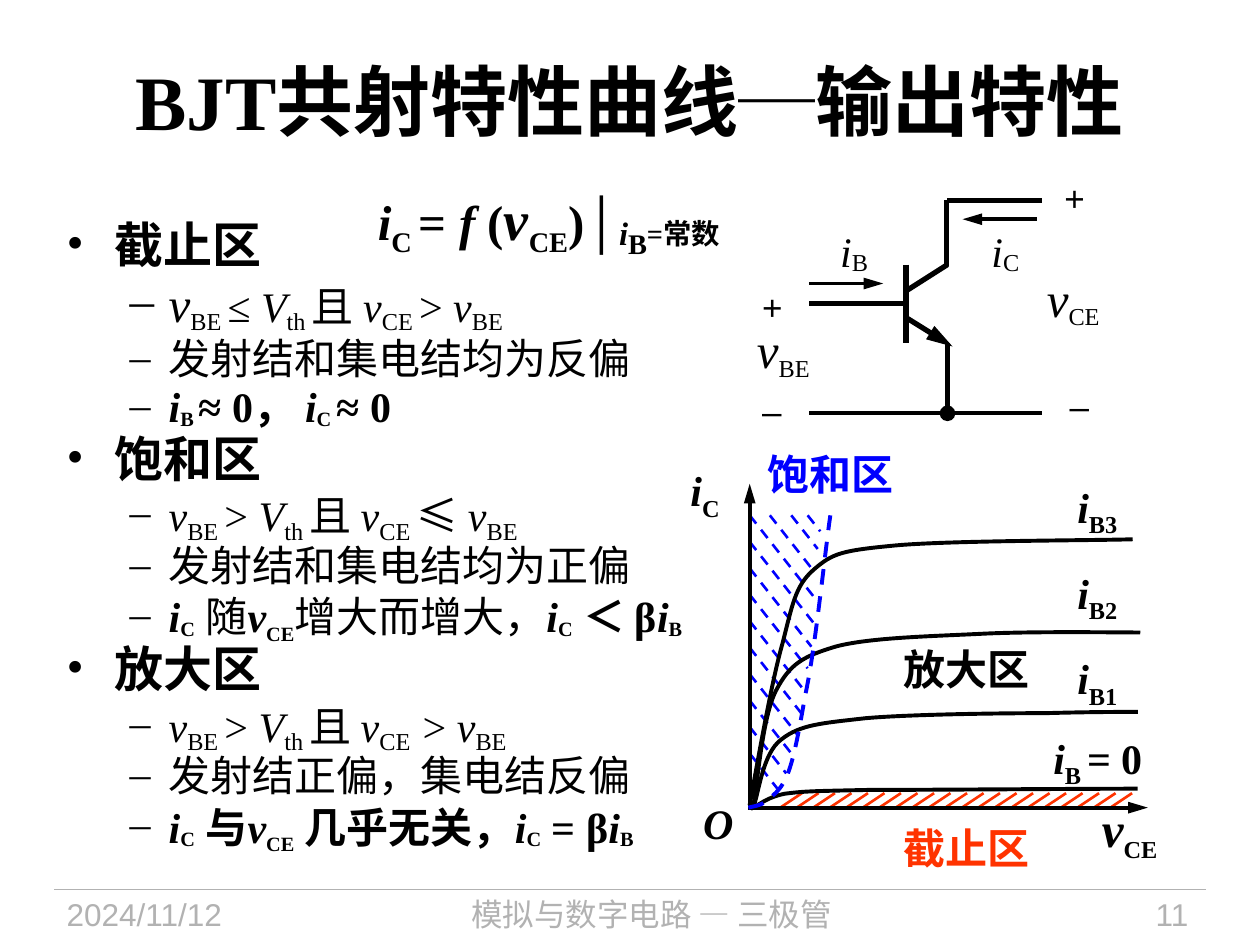
from lxml.etree import SubElement
from pptx import Presentation
from pptx.dml.color import RGBColor
from pptx.enum.dml import MSO_LINE
from pptx.enum.shapes import MSO_CONNECTOR
from pptx.enum.text import MSO_ANCHOR, PP_ALIGN
from pptx.oxml.ns import qn
from pptx.util import Inches, Pt

deck = Presentation()
deck.slide_width, deck.slide_height = Inches(10), Inches(7.5)
slide = deck.slides.add_slide(deck.slide_layouts[6])
shapes = slide.shapes
cell = deck.slide_width / 100

BLACK, BLUE, RED, GRAY = "000000", "0000FF", "FF3300", "B2B2B2"
ROMAN, ARIAL, HAN = "Times New Roman", "Arial", "Noto Sans CJK SC"
LEFT, MID, RIGHT = PP_ALIGN.LEFT, PP_ALIGN.CENTER, PP_ALIGN.RIGHT
paint = RGBColor.from_string


def line(ends, hue=BLACK, width=3, tip=None, dash=False):
    link = shapes.add_connector(MSO_CONNECTOR.STRAIGHT, *[round(n * cell) for n in ends])
    link.line.color.rgb = paint(hue)
    link.line.width = Pt(width)
    if dash:
        link.line.dash_style = MSO_LINE.DASH
    props = link._element.spPr
    if tip:
        size = "lg" if tip == "triangle" else "med"
        SubElement(props.find(qn("a:ln")), qn("a:tailEnd"), type=tip, w="med", len=size)
    SubElement(props, qn("a:effectLst"))


def write(para, runs, hue=BLACK, face=ROMAN):
    for words, size, style, base, *other in runs:
        run = para.add_run()
        run.text = words
        font = run.font
        font.size = Pt(size)
        font.name = other[0] if other else face
        font.bold, font.italic = "b" in style, "i" in style
        font.color.rgb = paint(hue)
        props = run._r.get_or_add_rPr()
        if base:
            props.set("baseline", str(base * 1000))
        SubElement(props, qn("a:ea"), typeface=HAN)


line((4.3, 70.6, 95.7, 70.6), GRAY, 0.75)

for n in range(21):
    x = 62 + 1.31 * n
    line((x, 64.05, x + 1.65, 62.95), RED, 1.5)

spans = [5.2, 5.1, 4.9, 4.6, 4.4, 4.2, 3.8, 3.4, 2.9, 2.2, 0.9]
hatch = [(59.5, 40.9 + 2.1 * n, span) for n, span in enumerate(spans)]
hatch += [(61.1, 40.9, 3.6), (62.8, 40.9, 2.1), (64.1, 40.9, 1)]
for x, y, span in hatch:
    line((x, y, x + span, y + 1.27 * span), BLUE, 1.5, dash=True)

line((59.4, 64.1, 91.1, 64.1), width=2.25, tip="triangle")
line((59.5, 64.1, 59.5, 38.4), width=2.25, tip="triangle")

curves = [
    (BLACK, [(59.6, 64.2), (60.1, 64), (60.8, 63.3), (62.3, 63), (63.9, 62.8), (64.3, 62.8),
             (68.9, 62.7), (73.6, 62.7), (85.8, 62.6), (90.3, 62.6)]),
    (BLACK, [(59.8, 64), (60.2, 63.1), (60.5, 59.8), (62, 58.7), (63.5, 57.5), (65.2, 57.4),
             (68.7, 57), (72.1, 56.7), (79.4, 56.6), (83, 56.6), (86.6, 56.5), (88.8, 56.5),
             (90.3, 56.5)]),
    (BLACK, [(59.8, 63.9), (60.1, 62.4), (60.5, 56.9), (61.6, 54.8), (62.7, 52.7), (63.7, 52.1),
             (66.4, 51.3), (69.1, 50.6), (74, 50.5), (78, 50.3), (82.1, 50.1), (88.4, 50.2),
             (90.5, 50.2)]),
    (BLACK, [(59.5, 63.9), (59.9, 61.8), (61.2, 54.2), (62.1, 51.1), (62.9, 48), (63.1, 46.5),
             (64.6, 45.2), (66.1, 43.9), (66.8, 43.7), (71, 43.3), (75.2, 42.9), (86.8, 42.9),
             (89.9, 42.8)]),
    (BLUE, [(59.4, 64.1), (59.6, 64), (60.4, 64), (60.9, 63.5), (61.5, 63), (62.1, 62.6),
            (62.6, 61.2), (63.1, 59.8), (63.5, 57.5), (63.9, 55.2), (64.4, 52.9), (64.8, 49.7),
            (65.1, 47.3), (65.4, 44.9), (65.7, 42.2), (65.9, 40.9)]),
]
for hue, knots in curves:
    dots = [(x * cell, y * cell) for x, y in knots]
    pen = shapes.build_freeform(*dots[0])
    pen.add_line_segments(dots[1:], close=False)
    curve = pen.convert_to_shape()
    track = next(curve._element.iter(qn("a:path")))
    legs = track.findall(qn("a:lnTo"))
    for k in range(0, len(legs), 3):
        bend = SubElement(track, qn("a:cubicBezTo"))
        for leg in legs[k:k + 3]:
            bend.append(leg[0])
            track.remove(leg)
    curve.shadow.inherit = False
    curve.fill.background()
    curve.line.color.rgb = paint(hue)
    curve.line.width = Pt(2.25)
    if hue == BLUE:
        curve.line.dash_style = MSO_LINE.DASH

for ends in [(71.9, 21, 71.9, 27.2), (71.9, 24.1, 64.2, 24.1), (71.9, 23.1, 75.2, 21),
             (75.1, 21.1, 75.1, 15.9), (82.7, 15.9, 75.2, 15.9)]:
    line(ends)
line((71.9, 25.2, 75.6, 27.5), tip="triangle")
line((75.2, 27.2, 75.2, 32.8), tip="oval")
line((82.7, 32.8, 64.2, 32.8), width=2.25)
for ends in [(64.2, 22.5, 70.1, 22.5), (82.3, 17.4, 76.4, 17.4)]:
    line(ends, width=2.25, tip="triangle")

rule = [("i", 28, "bi", 0), ("C ", 28, "b", -25), ("= ", 28, "b", 0), ("f ", 28, "bi", 0),
        ("(", 28, "b", 0), ("v", 32, "bi", 0), ("CE", 28, "b", -25), (")│", 28, "b", 0),
        ("i", 32, "bi", -10), ("B", 28, "b", -30), ("=常数", 28, "b", -10)]
foot = [("模拟与数字电路 ", 18, "", 0), ("— ", 18, "", 0, ROMAN), ("三极管", 18, "", 0)]
head = [("BJT", 44, "b", 0, ROMAN), ("共射特性曲线─输出特性", 44, "b", 0)]
labels = [
    (4.3, 70.55, 18.8, 4.4, 1, 1, LEFT, GRAY, ARIAL, [("2024/11/12", 18, "", 0)]),
    (24.9, 70.55, 53.6, 4.4, 1, 1, MID, GRAY, ARIAL, foot),
    (82, 70.55, 13.3, 4.4, 1, 1, RIGHT, GRAY, ARIAL, [("11", 18, "", 0)]),
    (5, 1.65, 90, 12.5, 1, 1, MID, BLACK, ARIAL, head),
    (29, 12.3, 34.7, 7.9, 1, 1.3, LEFT, BLACK, ROMAN, rule),
    (83.6, 57.2, 7.3, 4.8, 0, 1.2, LEFT, BLACK, ROMAN,
     [("i", 24, "bi", 0), ("B ", 24, "b", -25), ("= 0", 24, "b", 0)]),
    (87.4, 63.4, 4.5, 5.1, 0, 1, MID, BLACK, ROMAN, [("v", 28, "bi", 0), ("CE", 24, "b", -25)]),
    (54.8, 36.9, 2.5, 4, 0, 1, LEFT, BLACK, ROMAN, [("i", 24, "bi", 0), ("C", 24, "b", -25)]),
    (55.8, 63.3, 2.4, 4, 0, 1, LEFT, BLACK, ROMAN, [("O", 24, "bi", 0)]),
]
for x, y, w, hue, words in [(70.7, 64.8, 12.1, RED, "截止区"), (70.7, 50.6, 12.1, BLACK, "放大区"),
                            (59.9, 35.1, 13.8, BLUE, "饱和区")]:
    labels.append((x, y, w, 5, 1, 1, LEFT, hue, ARIAL, [(words, 24, "b", 0)]))
for n, sub in enumerate(["B3", "B2", "B1"]):
    labels.append((85.5, 37.3 + 6.8 * n, 3.5, 4.8, 0, 1.2, LEFT, BLACK, ROMAN,
                   [("i", 24, "bi", 0), (sub, 24, "b", -25)]))
for x, sub in [(65.7, "B"), (77.7, "C")]:
    labels.append((x, 17.4, 4.4, 5, 1, 1, LEFT, BLACK, ROMAN,
                   [("i", 24, "i", 0), (sub, 24, "", -10)]))
for x, y, sub in [(59.1, 24.9, "BE"), (82.1, 20.8, "CE")]:
    labels.append((x, y, 6.6, 5.7, 1, 1, LEFT, BLACK, ROMAN,
                   [("v", 28, "i", 0), (sub, 24, "", -20)]))
for x, y, sign in [(59.5, 22.2, "+"), (59.5, 30.4, "–"), (83.5, 13.5, "+"), (83.9, 30, "–")]:
    labels.append((x, y, 3.6, 4.3, 1, 1, LEFT, BLACK, ARIAL, [(sign, 20, "", 0)]))

for x, y, w, h, pad, lead, side, hue, face, runs in labels:
    frame = shapes.add_textbox(*[round(n * cell) for n in (x, y, w, h)]).text_frame
    frame.word_wrap = w > 13
    if not pad:
        frame.margin_left = frame.margin_right = frame.margin_top = frame.margin_bottom = 0
    if runs is head:
        frame.vertical_anchor = MSO_ANCHOR.MIDDLE
    para = frame.paragraphs[0]
    para.alignment = side
    if lead != 1:
        para.line_spacing = lead
    write(para, runs, hue, face)

V, I, BI = ("v", 24, "i", 0), ("i", 24, "bi", 0), ("B", 20, "b", -10)
BE, CE, IC = ("BE", 24, "", -20), ("CE", 20, "b", -25), ("C", 20, "b", -10)
GAP, MORE = (" ", 24, "i", 0), ("> ", 24, "", 0)
gate = [("V", 24, "i", 0), ("th ", 24, "", -20), ("且 ", 24, "", 0), V]
first = ("BE ", 24, "", -20)
then = ("CE ", 24, "", -20)
body = [
    [("截止区", 28, "b", 0)],
    [("v", 28, "i", 0), first, ("≤ ", 24, "", 0), *gate, then, MORE, V, BE],
    [("发射结和集电结均为反偏", 24, "", 0)],
    [I, ("B ", 20, "b", -10), ("≈ 0， ", 24, "b", 0), I, ("C ", 20, "b", -10), ("≈ 0", 24, "b", 0)],
    [("饱和区", 28, "b", 0)],
    [V, first, MORE, *gate, then, ("≤ ", 24, "", 0, HAN), V, BE],
    [("发射结和集电结均为正偏", 24, "", 0)],
    [I, IC, GAP, ("随", 24, "", 0), ("v", 24, "bi", 0), CE, ("增大而增大，", 24, "", 0), I, IC, GAP,
     ("＜ β", 24, "b", 0), I, BI],
    [("放大区", 28, "b", 0)],
    [V, first, MORE, *gate, ("CE  ", 24, "", -20), MORE, V, BE],
    [("发射结正偏，集电结反偏", 24, "", 0)],
    [I, IC, (" 与", 24, "b", 0), ("v", 24, "bi", 0), CE, (" 几乎无关，", 24, "b", 0), I, IC, GAP,
     ("= β", 24, "b", 0), I, BI],
]
frame = shapes.add_textbox(*[round(n * cell) for n in (4.3, 17.4, 52.1, 54.1)]).text_frame
frame.word_wrap = True
for n, runs in enumerate(body):
    para = frame.paragraphs[0] if n == 0 else frame.add_paragraph()
    para.line_spacing = 0.8
    deep = n % 4 > 0
    para.level = int(deep)
    props = para._p.get_or_add_pPr()
    props.set("marL", str(Inches(0.81 if deep else 0.38)))
    props.set("indent", str(-Inches(0.31 if deep else 0.38)))
    SubElement(SubElement(props, qn("a:spcAft")), qn("a:spcPct"), val="20000")
    SubElement(props, qn("a:buFont"), typeface=ROMAN)
    SubElement(props, qn("a:buChar"), char="–" if deep else "•")
    write(para, runs)

deck.save("out.pptx")
